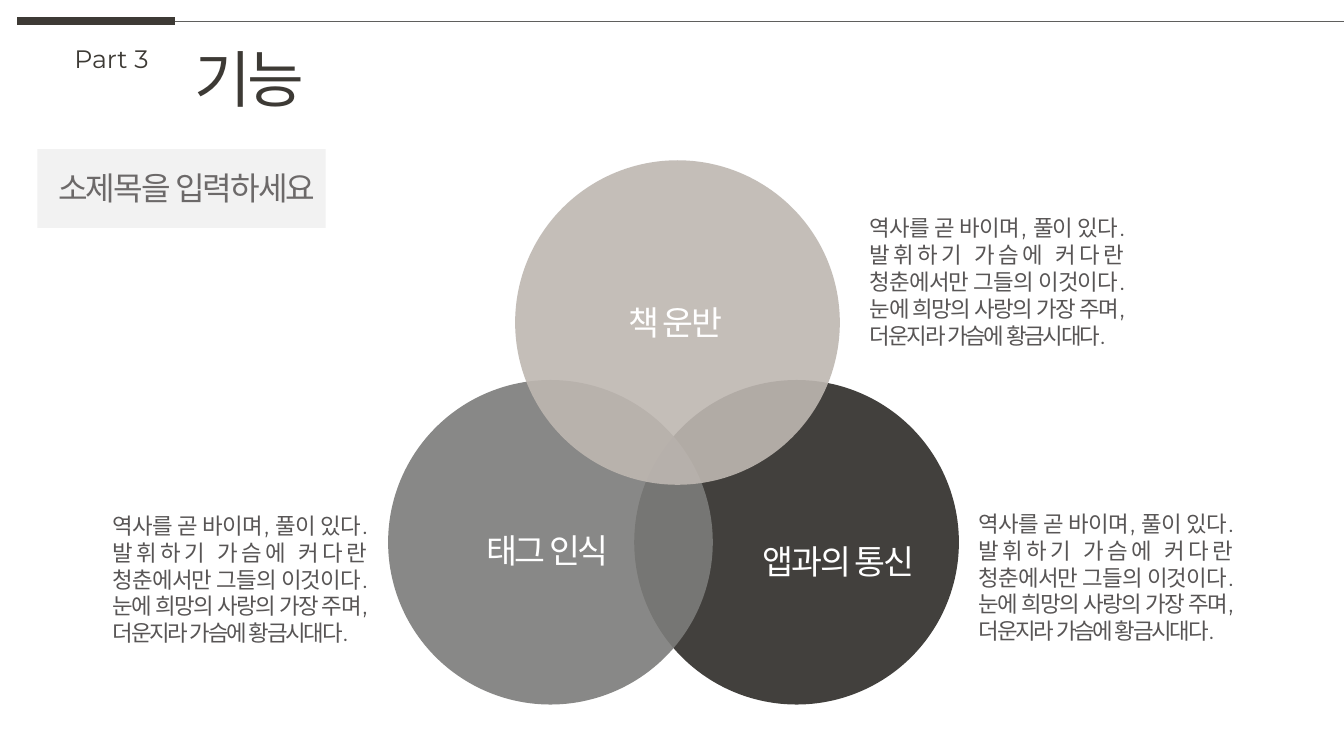
from dataclasses import dataclass
from typing import Optional

from lxml import etree
from pptx import Presentation
from pptx import util as u
from pptx.dml.color import RGBColor
from pptx.enum import shapes, text
from pptx.oxml import ns

INK = RGBColor(0x3D, 0x3A, 0x35)
RULE = RGBColor(0x5F, 0x5F, 0x5D)
DARK = RGBColor(0x2E, 0x2C, 0x28)
GREY = RGBColor(0x7C, 0x7C, 0x7A)
SAND = RGBColor(0xBE, 0xB7, 0xB1)
PALE = RGBColor(0xF2, 0xF2, 0xF2)
BODY = RGBColor(0x58, 0x55, 0x55)
SUB = RGBColor(0x6C, 0x69, 0x69)
WHITE = RGBColor(0xFF, 0xFF, 0xFF)
LATIN, KOREAN = "Montserrat", "Noto Sans CJK KR"
LEFT, MID, JUST = text.PP_ALIGN.LEFT, text.PP_ALIGN.CENTER, text.PP_ALIGN.JUSTIFY

STORY = ("역사를 곧 바이며, 풀이 있다. 발휘하기 가슴에 커다란 청춘에서만 그들의 이것이다. "
         "눈에 희망의 사랑의 가장 주며, 더운지라 가슴에 황금시대다.")


@dataclass(frozen=True)
class Box:
    """A frame in percent of the slide's width and height."""
    left: float
    top: float
    wide: float
    high: float


@dataclass(frozen=True)
class Style:
    """The look of a run and its paragraph."""
    size: float
    color: RGBColor
    font: str = LATIN
    align: text.PP_ALIGN = LEFT
    space: float = -1.5
    wrap: bool = False


@dataclass(frozen=True)
class Topic:
    """One circle of the diagram, with its label and story."""
    name: str
    color: RGBColor
    left: float
    top: float
    label: Box
    story: tuple[float, float]


HEAD = Style(44, INK, space=-3)
PART = Style(18, INK, space=0)
SUBHEAD = Style(23, SUB, wrap=True)
LABEL = Style(24, WHITE, KOREAN, MID)
NOTE = Style(16, BODY, align=JUST, wrap=True)

TOPICS = (
    Topic("앱과의 통신", DARK, 47.19, 50.27, Box(55.51, 70.93, 13.73, 6.67), (72.09, 66.8)),
    Topic("태그 인식", GREY, 28.88, 50.27, Box(35.03, 69.47, 11.4, 6.67), (7.65, 67.07)),
    Topic("책 운반", SAND, 38.33, 21.2, Box(44.56, 39.33, 11.4, 6.67), (63.99, 27.73)),
)

deck = Presentation()
deck.slide_width, deck.slide_height = u.Inches(13.33), u.Inches(7.5)
slide = deck.slides.add_slide(deck.slide_layouts[5])


def across(share: float) -> int:
    """Turn a percentage of the slide's width into a length."""
    return round(deck.slide_width * share / 100)


def down(share: float) -> int:
    """Turn a percentage of the slide's height into a length."""
    return round(deck.slide_height * share / 100)


def frame(box: Box) -> tuple[int, int, int, int]:
    """Turn a box into left, top, width and height."""
    return across(box.left), down(box.top), across(box.wide), down(box.high)


def write(words: str, box: Box, style: Style, holder=None) -> None:
    """Write one styled paragraph into a holder or a new text box."""
    place = frame(box)
    item = holder or slide.shapes.add_textbox(*place)
    item.left, item.top, item.width, item.height = place
    body = item.text_frame
    body.word_wrap = style.wrap
    body.auto_size = text.MSO_AUTO_SIZE.SHAPE_TO_FIT_TEXT
    body.vertical_anchor = text.MSO_ANCHOR.TOP
    para = body.paragraphs[0]
    para.alignment = style.align
    run = para.add_run()
    run.text = words
    run.font.size, run.font.name = u.Pt(style.size), style.font
    run.font.color.rgb = style.color
    props = run.font._element
    props.set("spc", str(round(style.space * 100)))
    props.find(ns.qn("a:latin")).addnext(
        etree.Element(ns.qn("a:ea"), typeface=style.font))


def fill(kind: shapes.MSO_SHAPE, box: Box, color: RGBColor,
         alpha: Optional[int] = None) -> None:
    """Draw a shape without outline, see-through if alpha is given."""
    item = slide.shapes.add_shape(kind, *frame(box))
    item.shadow.inherit = False
    item.line.fill.background()
    item.fill.solid()
    item.fill.fore_color.rgb = color
    if alpha is not None:
        tint = item._element.spPr.find(".//" + ns.qn("a:srgbClr"))
        etree.SubElement(tint, ns.qn("a:alpha"), val=str(alpha * 1000))


def rule(start: float, end: float, color: RGBColor, width: float) -> None:
    """Draw a level line along the head of the slide."""
    line = slide.shapes.add_connector(
        shapes.MSO_CONNECTOR.STRAIGHT, across(start), down(2.8), across(end), down(2.8))
    line.line.color.rgb, line.line.width = color, u.Pt(width)
    etree.SubElement(line._element.spPr, ns.qn("a:effectLst"))


rule(1.28, 13.05, INK, 6)
write("기능", Box(13.73, 4.8, 10.13, 11.2), HEAD, slide.shapes.title)
write("Part 3", Box(4.8, 5.07, 7.28, 5.33), PART)
rule(13.05, 100, RULE, 0.5)

for topic in TOPICS:
    fill(shapes.MSO_SHAPE.OVAL, Box(topic.left, topic.top, 24.16, 42.93), topic.color, 90)
for topic in TOPICS:
    write(topic.name, topic.label, LABEL)
    write(STORY, Box(*topic.story, 20.26, 19.33), NOTE)

fill(shapes.MSO_SHAPE.RECTANGLE, Box(2.78, 19.73, 21.46, 10.4), PALE)
write("소제목을 입력하세요", Box(3.6, 21.6, 22.13, 6.53), SUBHEAD)

deck.save("out.pptx")
